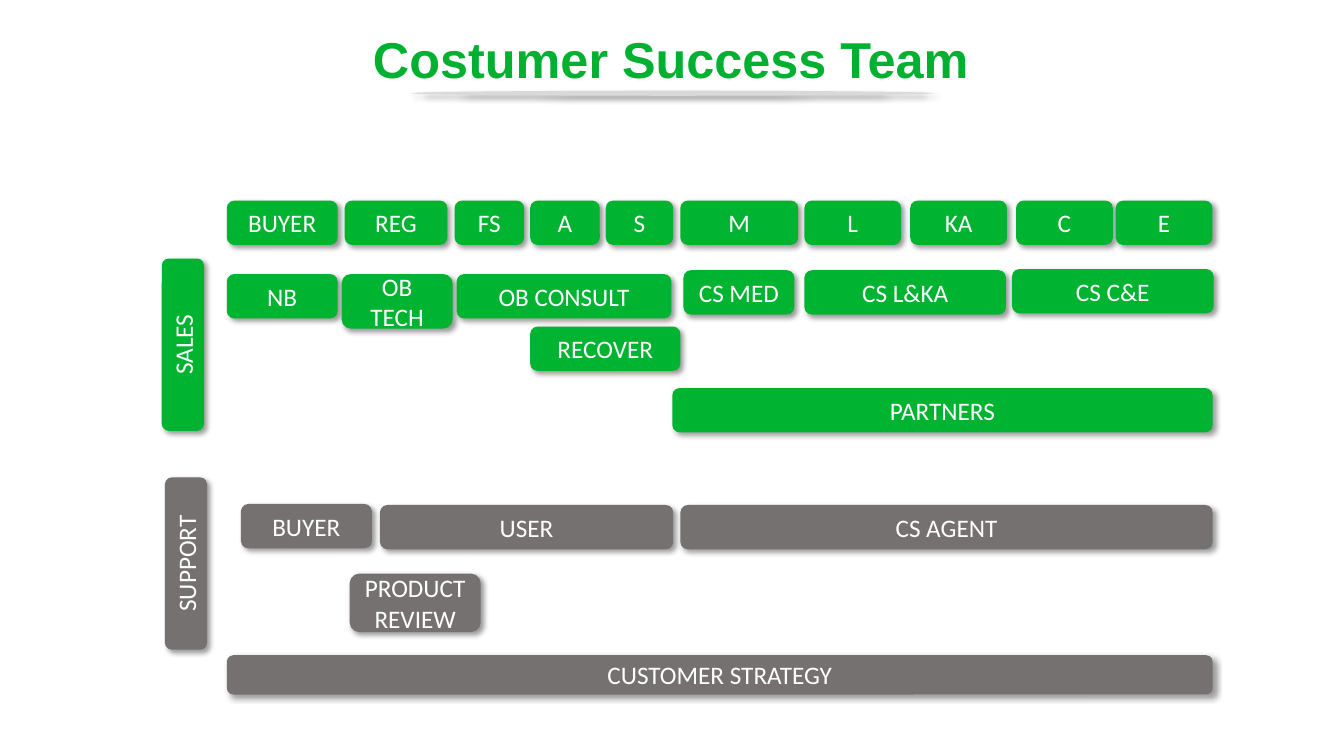
from dataclasses import dataclass

from lxml import etree
from pptx import Presentation
from pptx.dml.color import RGBColor
from pptx.enum.shapes import MSO_SHAPE
from pptx.enum.text import MSO_ANCHOR, PP_ALIGN
from pptx.oxml.ns import qn
from pptx.shapes.autoshape import Shape
from pptx.slide import Slide
from pptx.util import Pt

ROUNDED = MSO_SHAPE.ROUNDED_RECTANGLE
ELLIPSE = MSO_SHAPE.OVAL
CENTER = PP_ALIGN.CENTER
MIDDLE = MSO_ANCHOR.MIDDLE

TITLE_GREEN = RGBColor(0x00, 0xB0, 0x30)
GREEN = RGBColor(0x00, 0xB3, 0x31)
GRAY = RGBColor(0x76, 0x71, 0x71)
LIGHT_GRAY = RGBColor(0xD9, 0xD9, 0xD9)
WHITE = RGBColor(0xFF, 0xFF, 0xFF)

BOX_HEIGHT = 31.7
STAGE_TOP = 143.3


@dataclass(frozen=True)
class Box:
    text: str
    left: float
    top: float
    width: float
    height: float = BOX_HEIGHT
    rotation: float = 0


STAGES = [
    Box(text, left, STAGE_TOP, width)
    for text, left, width in [
        ("BUYER", 162, 79.2),
        ("REG", 246.2, 73.4),
        ("FS", 324.7, 49.7),
        ("A", 378.7, 49.7),
        ("S", 432.7, 48.2),
        ("M", 486, 84.2),
        ("L", 574.6, 69.1),
        ("KA", 650.2, 69.1),
        ("C", 725.8, 69.1),
        ("E", 797, 69.1),
    ]
]

SALES_TEAMS = [
    Box("SALES", 69.1, 231.1, 123.1, 30.2, 270),
    Box("PARTNERS", 480.2, 277.2, 386),
    Box("NB", 162, 195.8, 79.2),
    Box("OB TECH", 244.1, 195.8, 79.2, 38.9),
    Box("OB CONSULT", 326.2, 195.8, 153.4),
    Box("RECOVER", 378.7, 233.3, 107.3),
    Box("CS MED", 488.2, 193, 79.2),
    Box("CS L&KA", 574.6, 193, 144),
    Box("CS C&E", 722.9, 192.2, 144),
]

SUPPORT_TEAMS = [
    Box("CUSTOMER STRATEGY", 162, 468, 704.2, 28.1),
    Box("SUPPORT", 71.3, 387.4, 123.1, 30.2, 270),
    Box("BUYER", 172.1, 360, 93.6),
    Box("PRODUCT REVIEW", 249.8, 409.7, 93.6, 41.8),
    Box("USER", 271.4, 360.7, 209.5),
    Box("CS AGENT", 486, 360.7, 380.2),
]


def write_text(shape: Shape, text: str, *, size: float = 18, font: str = "Calibri",
               color: RGBColor = WHITE, bold: bool = False,
               anchor: MSO_ANCHOR = MIDDLE) -> None:
    frame = shape.text_frame
    frame.word_wrap = True
    frame.vertical_anchor = anchor
    paragraph = frame.paragraphs[0]
    paragraph.alignment = CENTER
    run = paragraph.add_run()
    run.text = text
    run.font.size = Pt(size)
    run.font.name = font
    run.font.bold = bold
    run.font.color.rgb = color


def add_shadow(shape: Shape) -> None:
    """Cast a soft black shadow to the lower right."""
    shape.shadow.inherit = False
    effects = shape.element.spPr.find(qn("a:effectLst"))
    shadow = etree.SubElement(
        effects, qn("a:outerShdw"), blurRad=str(Pt(4)), dist=str(Pt(3)),
        dir=str(45 * 60000), algn="tl", rotWithShape="0")
    black = etree.SubElement(shadow, qn("a:srgbClr"), val="000000")
    etree.SubElement(black, qn("a:alpha"), val="40000")


def add_filled_shape(slide: Slide, kind: MSO_SHAPE, box: Box, color: RGBColor) -> Shape:
    shape = slide.shapes.add_shape(
        kind, Pt(box.left), Pt(box.top), Pt(box.width), Pt(box.height))
    shape.rotation = box.rotation
    shape.fill.solid()
    shape.fill.fore_color.rgb = color
    shape.line.fill.background()
    add_shadow(shape)
    return shape


def add_boxes(slide: Slide, boxes: list[Box], color: RGBColor) -> None:
    for box in boxes:
        write_text(add_filled_shape(slide, ROUNDED, box, color), box.text)


def main() -> None:
    presentation = Presentation()
    presentation.slide_width = Pt(960)
    presentation.slide_height = Pt(540)
    slide = presentation.slides.add_slide(presentation.slide_layouts[6])

    title = slide.shapes.add_textbox(Pt(218.9), Pt(16.6), Pt(520.6), Pt(51.1))
    write_text(title, "Costumer Success Team", size=36, font="Arial",
               color=TITLE_GREEN, bold=True, anchor=MSO_ANCHOR.TOP)
    underline = Box("", 293.8, 64.8, 373, 3.6)
    add_filled_shape(slide, ELLIPSE, underline, LIGHT_GRAY)

    add_boxes(slide, SUPPORT_TEAMS, GRAY)
    add_boxes(slide, STAGES, GREEN)
    add_boxes(slide, SALES_TEAMS, GREEN)
    presentation.save("out.pptx")


if __name__ == "__main__":
    main()
